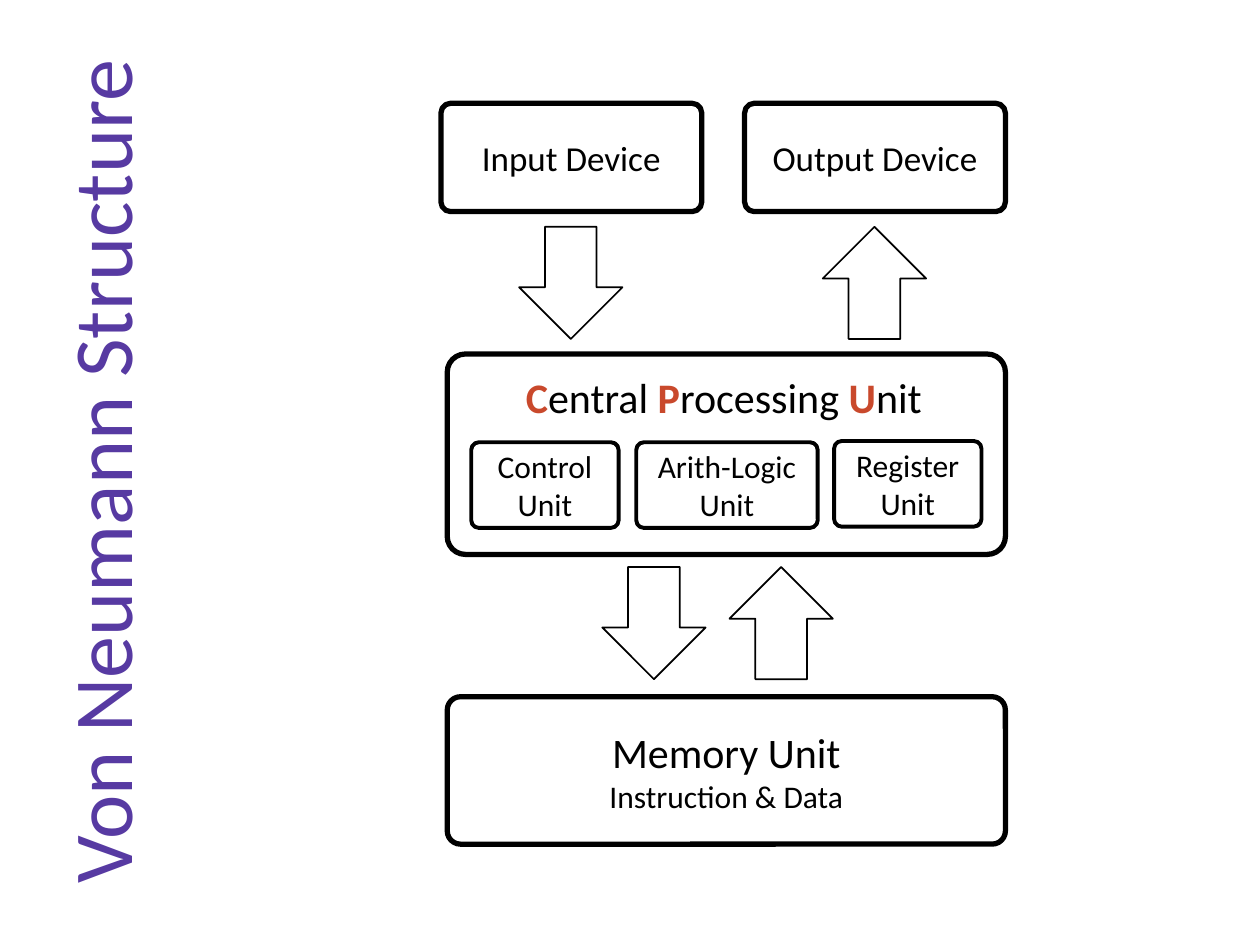
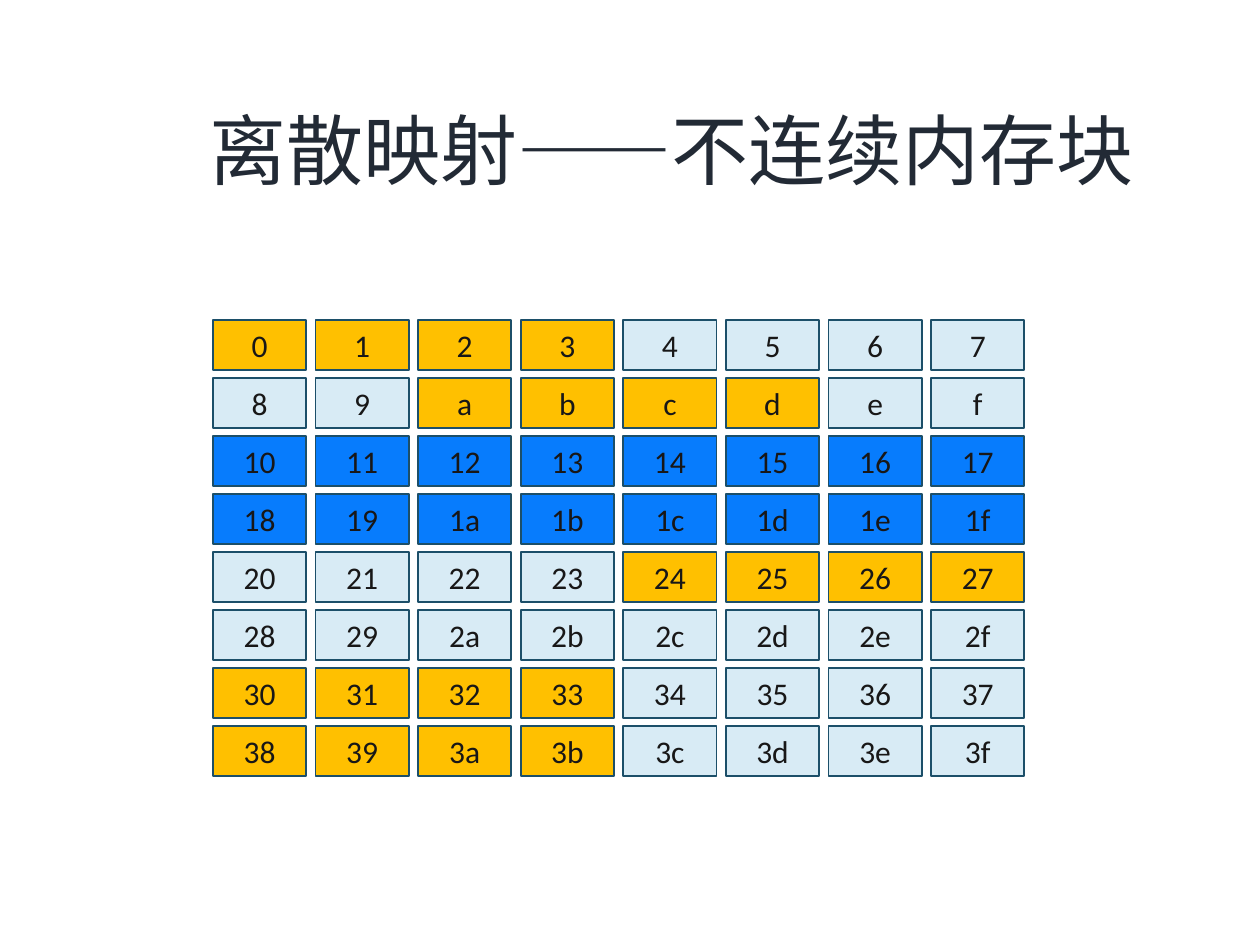
from lxml import etree
from pptx import Presentation
from pptx.dml.color import RGBColor
from pptx.enum.shapes import MSO_SHAPE as Shape
from pptx.enum.text import MSO_ANCHOR, MSO_AUTO_SIZE, PP_ALIGN
from pptx.oxml.ns import qn
from pptx.util import Inches, Pt

BLACK = RGBColor(0x00, 0x00, 0x00)
RUST = RGBColor(0xC9, 0x49, 0x2C)
VIOLET = RGBColor(0x57, 0x3A, 0xA2)
SLATE = RGBColor(0x22, 0x2A, 0x35)
INK = RGBColor(0x18, 0x17, 0x17)
TEAL = RGBColor(0x1C, 0x4F, 0x69)
AMBER = RGBColor(0xFF, 0xC0, 0x00)
BLUE = RGBColor(0x07, 0x7C, 0xFD)
PALE = RGBColor(0xD8, 0xEB, 0xF5)

LATIN = "Calibri"
CJK = "Noto Sans CJK JP"

CELL_FILL = {"A": AMBER, "B": BLUE, ".": PALE}
BLOCKS = [
    "AAAA....",
    "..AAAA..",
    "BBBBBBBB",
    "BBBBBBBB",
    "....AAAA",
    "........",
    "AAAA....",
    "AAAA....",
]


def write(frame, *lines, size=18, color=BLACK, font=LATIN, anchor=MSO_ANCHOR.MIDDLE):
    """Fill a frame; a line is a string or a list of (text, changed format) runs."""
    frame.word_wrap = True
    frame.auto_size = MSO_AUTO_SIZE.NONE
    frame.vertical_anchor = anchor
    for i, line in enumerate(lines):
        para = frame.paragraphs[0] if i == 0 else frame.add_paragraph()
        para.alignment = PP_ALIGN.CENTER
        for words, change in [(line, {})] if isinstance(line, str) else line:
            run = para.add_run()
            run.text = words
            run.font.name = font
            run.font.size = Pt(change.get("size", size))
            run.font.bold = change.get("bold", False)
            run.font.color.rgb = change.get("color", color)
            if font == CJK:
                east = etree.SubElement(run.font._element, qn("a:ea"))
                east.set("typeface", font)


def add_title(deck, words, left, top, width, height, turn=0, **style):
    """Add a title-only slide with its title placed."""
    slide = deck.slides.add_slide(deck.slide_layouts[5])
    title = slide.shapes.title
    title.left, title.top = Inches(left), Inches(top)
    title.width, title.height = Inches(width), Inches(height)
    title.rotation = turn
    write(title.text_frame, words, **style)
    return slide


def draw(slide, kind, left, top, width, height, line=1, edge=BLACK, fill=None):
    shape = slide.shapes.add_shape(
        kind, Inches(left), Inches(top), Inches(width), Inches(height))
    shape.shadow.inherit = False
    shape.line.color.rgb = edge
    shape.line.width = Pt(line)
    if fill is None:
        shape.fill.background()
    else:
        shape.fill.solid()
        shape.fill.fore_color.rgb = fill
    return shape


def add_unit(slide, left, top, width, height, *lines, line=3, size=18):
    """Add a rounded box with centred lines of text."""
    unit = draw(slide, Shape.ROUNDED_RECTANGLE, left, top, width, height, line)
    unit.adjustments[0] = 0.09
    if lines:
        write(unit.text_frame, *lines, size=size)


def add_arrow(slide, left, top, up=False):
    arrow = draw(slide, Shape.DOWN_ARROW, left, top, 0.82, 0.89)
    arrow.rotation = 180 if up else 0


def build_neumann(deck):
    slide = add_title(deck, "Von Neumann Structure", -2.66, 3.29, 6.89, 0.91,
                      turn=270, size=48, color=VIOLET)
    add_unit(slide, 3.5, 0.82, 2.07, 0.86, "Input Device", size=20)
    add_unit(slide, 5.91, 0.82, 2.07, 0.86, "Output Device", size=20)

    add_unit(slide, 3.55, 2.81, 4.43, 1.59)
    label = slide.shapes.add_textbox(
        Inches(3.63), Inches(2.9), Inches(4.23), Inches(0.5))
    initial = {"color": RUST, "bold": True}
    name = [("C", initial), ("entral ", {}), ("P", initial),
            ("rocessing ", {}), ("U", initial), ("nit", {})]
    write(label.text_frame, name, size=24, anchor=MSO_ANCHOR.TOP)
    for left, top, width, part in [(3.74, 3.51, 1.17, "Control"),
                                   (5.05, 3.51, 1.44, "Arith-Logic"),
                                   (6.62, 3.5, 1.17, "Register")]:
        add_unit(slide, left, top, width, 0.68, part, "Unit", line=2.25)

    add_unit(slide, 3.55, 5.53, 4.43, 1.17,
             [("Memory Unit", {"size": 24})], "Instruction & Data")
    for top, down, up in [(1.8, 4.12, 6.53), (4.5, 4.78, 5.79)]:
        add_arrow(slide, down, top)
        add_arrow(slide, up, top, up=True)


def build_blocks(deck):
    slide = add_title(deck, "离散映射——不连续内存块", 1.43, 0.76, 7.81, 0.84,
                      size=44, color=SLATE, font=CJK)
    step = (7.39 - 1.69) / 7
    for row, marks in enumerate(BLOCKS):
        for col, mark in enumerate(marks):
            cell = draw(slide, Shape.RECTANGLE, 1.69 + col * step, 2.54 + row * 0.46,
                        0.74, 0.4, edge=TEAL, fill=CELL_FILL[mark])
            write(cell.text_frame, f"{row * 8 + col:x}", color=INK)


def main():
    deck = Presentation()
    deck.slide_width, deck.slide_height = Inches(10), Inches(7.5)
    build_neumann(deck)
    build_blocks(deck)
    deck.save("out.pptx")


if __name__ == "__main__":
    main()
